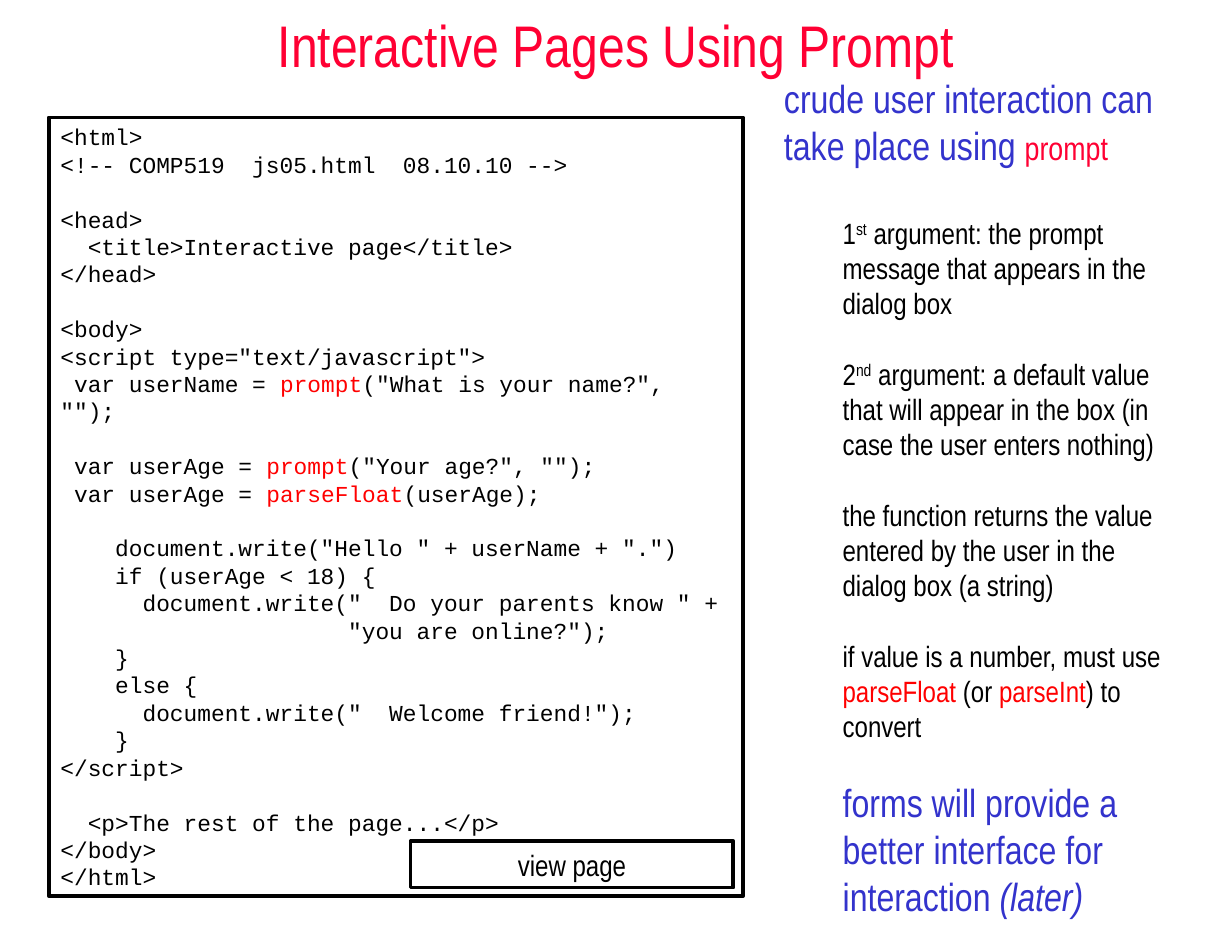
from pptx import Presentation
from pptx.dml.color import RGBColor
from pptx.enum.shapes import MSO_SHAPE
from pptx.enum.text import MSO_ANCHOR, PP_ALIGN
from pptx.util import Pt

PX = 9525
BLACK = RGBColor(0x00, 0x00, 0x00)
RED = RGBColor(0xFF, 0x00, 0x00)
CRIMSON = RGBColor(0xFF, 0x00, 0x33)
BLUE = RGBColor(0x33, 0x33, 0xCC)
NARROW = "Arial Narrow"
MONO = "Courier New"
LEADING = 1.2


def add_box(page, left, top, width, height, framed):
    bounds = [length * PX for length in (left, top, width, height)]
    if framed:
        box = page.shapes.add_shape(MSO_SHAPE.RECTANGLE, *bounds)
        box.shadow.inherit = False
        box.fill.background()
        box.line.color.rgb = BLACK
        box.line.width = Pt(2.25)
    else:
        box = page.shapes.add_textbox(*bounds)
    box.text_frame.word_wrap = True
    box.text_frame.vertical_anchor = MSO_ANCHOR.TOP
    return box.text_frame


def write(para, text, name, size, color, align=PP_ALIGN.LEFT):
    para.alignment = align
    para.line_spacing = Pt(size * LEADING)
    para.font.name = name
    para.font.size = Pt(size)
    para.font.color.rgb = color
    for part in text.split("|"):
        para.add_run().text = part
    return para.runs[1::2]


deck = Presentation()
deck.slide_width = 1008 * PX
deck.slide_height = 768 * PX
page = deck.slides.add_slide(deck.slide_layouts[6])

title = add_box(page, 0, 0, 1008, 72, False)
title.vertical_anchor = MSO_ANCHOR.MIDDLE
write(title.paragraphs[0], "Interactive Pages Using Prompt", NARROW, 36, CRIMSON, PP_ALIGN.CENTER)

CODE = """<html>
<!-- COMP519  js05.html  08.10.10 -->

<head>
  <title>Interactive page</title>
</head>

<body>
<script type="text/javascript">
 var userName = |prompt|("What is your name?", "");

 var userAge = |prompt|("Your age?", "");
 var userAge = |parseFloat|(userAge);

    document.write("Hello " + userName + ".")
    if (userAge < 18) {
      document.write("  Do your parents know " +
                     "you are online?");
    }
    else {
      document.write("  Welcome friend!");
    }
</script>

  <p>The rest of the page...</p>
</body>
</html>"""

listing = add_box(page, 40, 96, 568, 637, True)
para = listing.paragraphs[0]
for block_number, block in enumerate(CODE.split("\n\n")):
    for line_number, line in enumerate(block.split("\n")):
        if block_number or line_number:
            para = listing.add_paragraph()
        if block_number and line_number == 0:
            para.space_before = Pt(14 * LEADING)
        for span in write(para, line, MONO, 14, BLACK):
            span.font.color.rgb = RED

notes = add_box(page, 632, 56, 344, 727, False)
para = notes.paragraphs[0]
para.space_after = Pt(24 * LEADING)
for span in write(para, "crude user interaction can take place using |prompt", NARROW, 24, BLUE):
    span.font.size = Pt(20)
    span.font.color.rgb = CRIMSON

POINTS = [
    ("1|st| argument: the prompt message that appears in the dialog box", 18, BLACK, "raised"),
    ("2|nd| argument: a default value that will appear in the box (in case the user enters nothing)",
     18, BLACK, "raised"),
    ("the function returns the value entered by the user in the dialog box (a string)", 18, BLACK, "plain"),
    ("if value is a number, must use |parseFloat| (or |parseInt|) to convert", 18, BLACK, "red"),
    ("forms will provide a better interface for interaction |(later)", 24, BLUE, "italic"),
]
for number, (text, size, color, accent) in enumerate(POINTS):
    para = notes.add_paragraph()
    para._p.get_or_add_pPr().set("marL", str(48 * PX))
    if number:
        para.space_before = Pt(18 * LEADING)
    for span in write(para, text, NARROW, size, color):
        if accent == "raised":
            span._r.get_or_add_rPr().set("baseline", "30000")
        elif accent == "red":
            span.font.color.rgb = RED
        else:
            span.font.italic = True

button = add_box(page, 336, 688, 264, 38, True)
write(button.paragraphs[0], "view page", NARROW, 18, BLACK, PP_ALIGN.CENTER)

deck.save("out.pptx")
